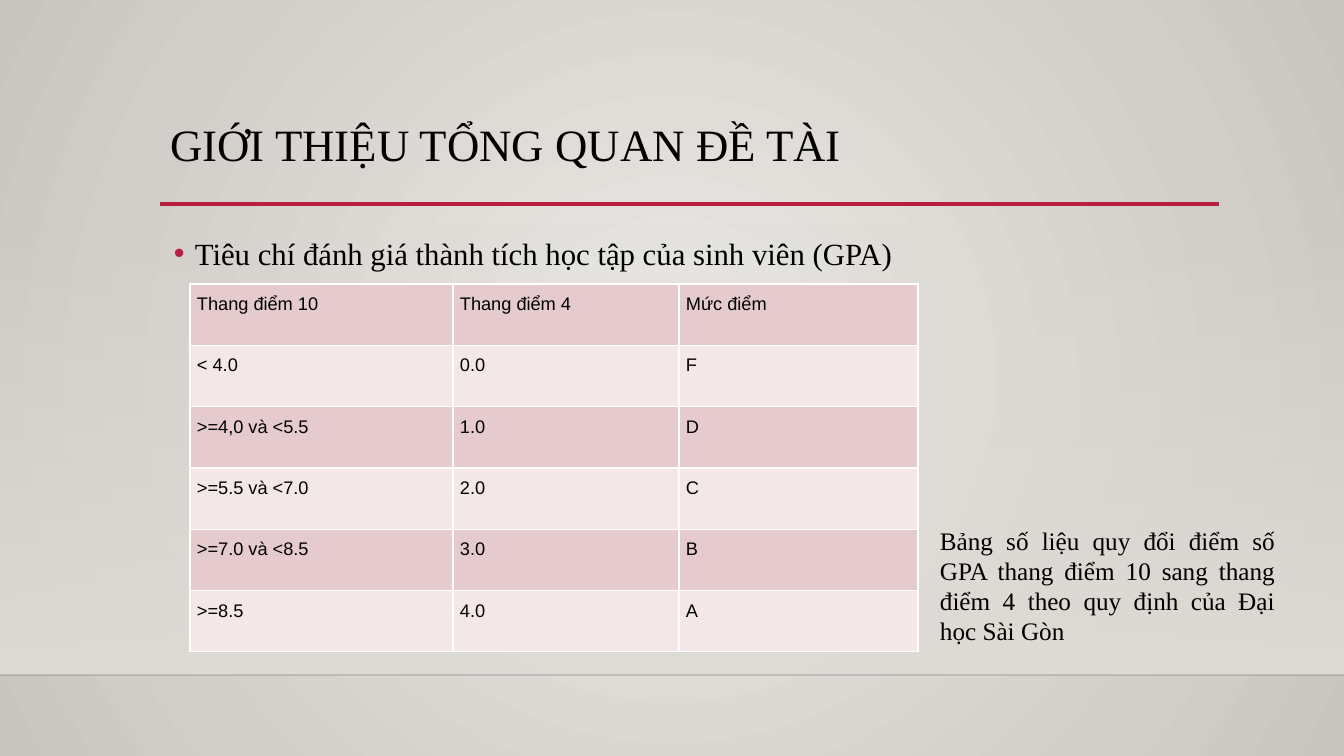
from dataclasses import dataclass

from lxml import etree
from pptx import Presentation
from pptx.dml.color import RGBColor
from pptx.enum.shapes import MSO_CONNECTOR, MSO_SHAPE
from pptx.enum.text import MSO_ANCHOR, MSO_AUTO_SIZE, PP_ALIGN
from pptx.oxml import parse_xml
from pptx.oxml.ns import qn
from pptx.util import Emu, Pt

STRAIGHT = MSO_CONNECTOR.STRAIGHT
RECTANGLE = MSO_SHAPE.RECTANGLE
LEFT, JUSTIFY = PP_ALIGN.LEFT, PP_ALIGN.JUSTIFY
TOP, MIDDLE = MSO_ANCHOR.TOP, MSO_ANCHOR.MIDDLE

TITLE = "GIỚI THIỆU TỔNG QUAN ĐỀ TÀI"
CRITERION = "Tiêu chí đánh giá thành tích học tập của sinh viên (GPA)"
CAPTION = ("Bảng số liệu quy đổi điểm số GPA thang điểm 10 sang thang điểm 4 "
           "theo quy định của Đại học Sài Gòn")
GRADES = [
    ("Thang điểm 10", "Thang điểm 4", "Mức điểm"),
    ("< 4.0", "0.0", "F"),
    (">=4,0 và <5.5", "1.0", "D"),
    (">=5.5 và <7.0", "2.0", "C"),
    (">=7.0 và <8.5", "3.0", "B"),
    (">=8.5", "4.0", "A"),
]

# Lengths in px
PAGE_WIDTH, PAGE_HEIGHT = 1344, 756
BAND_TOP, BAND_BOTTOM = 223, 675
RULE_LEFT, RULE_RIGHT, RULE_Y = 160, 1219, 204
TITLE_BOX = (160, 89, 1058, 116)
CRITERION_BOX = (160, 222, 1058, 380)
CAPTION_BOX = (930, 520, 355, 132)
TABLE_LEFT, TABLE_TOP, TABLE_HEIGHT = 190, 284, 368
COLUMN_WIDTHS = (263, 226, 239)
CELL_MARGIN = 7
BULLET_INDENT, BULLET_HANG = 25, 21


@dataclass(frozen=True)
class Theme:
    serif: str = "Times New Roman"
    sans: str = "Arial"
    ink: str = "000000"
    accent: str = "B71E42"
    center: str = "EBE9E6"
    edge: str = "C9C5C0"
    band: str = "DFDBD5"
    floor: str = "000001"
    border: str = "FFFFFF"
    rows: tuple = ("E5CBCD", "F3E7E8")
    title_size: int = 32
    criterion_size: int = 22
    caption_size: int = 18
    cell_size: int = 13


THEME = Theme()


def px(length):
    return Emu(round(length * 914400 / 100.8))


def gradient(stops, direction):
    """Make a gradFill from (position, colour, opacity) in percent and a direction tag."""
    marks = "".join(
        f'<a:gs pos="{position * 1000}"><a:srgbClr val="{color}">'
        f'<a:alpha val="{opacity * 1000}"/></a:srgbClr></a:gs>'
        for position, color, opacity in stops)
    return parse_xml(
        '<a:gradFill xmlns:a="http://schemas.openxmlformats.org/drawingml/2006/main" '
        f'rotWithShape="1"><a:gsLst>{marks}</a:gsLst>{direction}</a:gradFill>')


def set_gradient(fill, parent, stops, direction):
    fill.solid()
    solid = parent.find(".//" + qn("a:solidFill"))
    solid.getparent().replace(solid, gradient(stops, direction))


def add_rule(page, left, right, y, color, weight, opacity=100):
    rule = page.shapes.add_connector(STRAIGHT, px(left), px(y), px(right), px(y))
    rule.line.color.rgb = RGBColor.from_string(color)
    rule.line.width = Pt(weight)
    properties = rule._element.spPr
    if opacity < 100:
        tint = properties.find(".//" + qn("a:srgbClr"))
        etree.SubElement(tint, qn("a:alpha"), val=str(opacity * 1000))
    etree.SubElement(properties, qn("a:effectLst"))


def write(frame, text, face, size, align=LEFT, spacing=1.0, anchor=TOP):
    frame.word_wrap = True
    frame.auto_size = MSO_AUTO_SIZE.NONE
    frame.vertical_anchor = anchor
    format_text(frame.paragraphs[0], text, face, size, align, spacing)


def format_text(para, text, face, size, align, spacing):
    para.text = text
    para.alignment = align
    para.line_spacing = spacing
    para.font.name = face
    para.font.size = Pt(size)
    para.font.color.rgb = RGBColor.from_string(THEME.ink)


def add_bullet(para):
    properties = para._p.get_or_add_pPr()
    properties.set("marL", str(px(BULLET_INDENT)))
    properties.set("indent", str(-px(BULLET_HANG)))
    color = etree.SubElement(properties, qn("a:buClr"))
    etree.SubElement(color, qn("a:srgbClr"), val=THEME.accent)
    etree.SubElement(properties, qn("a:buFont"), typeface=THEME.sans)
    etree.SubElement(properties, qn("a:buChar"), char="•")


def add_borders(cell):
    properties = cell._tc.get_or_add_tcPr()
    for side in ("lnL", "lnR", "lnT", "lnB"):
        line = etree.SubElement(properties, qn(f"a:{side}"), w=str(Pt(1)))
        paint = etree.SubElement(line, qn("a:solidFill"))
        etree.SubElement(paint, qn("a:srgbClr"), val=THEME.border)


def add_backdrop(page):
    set_gradient(page.background.fill, page._element,
                 [(0, THEME.center, 100), (100, THEME.edge, 100)],
                 '<a:path path="circle"><a:fillToRect l="50000" t="50000" '
                 'r="50000" b="50000"/></a:path>')
    band = page.shapes.add_shape(RECTANGLE, 0, px(BAND_TOP), px(PAGE_WIDTH),
                                 px(BAND_BOTTOM - BAND_TOP))
    band.shadow.inherit = False
    band.line.fill.background()
    set_gradient(band.fill, band._element.spPr,
                 [(0, THEME.band, 0), (100, THEME.band, 100)],
                 '<a:lin ang="5400000" scaled="0"/>')
    add_rule(page, 0, PAGE_WIDTH, BAND_BOTTOM, THEME.floor, 1, opacity=20)
    add_rule(page, RULE_LEFT, RULE_RIGHT, RULE_Y, THEME.accent, 2.5)


def add_grades(page):
    table = page.shapes.add_table(
        len(GRADES), len(COLUMN_WIDTHS), px(TABLE_LEFT), px(TABLE_TOP),
        px(sum(COLUMN_WIDTHS)), px(TABLE_HEIGHT)).table
    table.first_row = table.horz_banding = False
    for column, width in zip(table.columns, COLUMN_WIDTHS):
        column.width = px(width)
    for index, (row, texts) in enumerate(zip(table.rows, GRADES)):
        row.height = px(TABLE_HEIGHT / len(GRADES))
        for cell, text in zip(row.cells, texts):
            cell.margin_left = cell.margin_right = px(CELL_MARGIN)
            cell.margin_top = cell.margin_bottom = 0
            add_borders(cell)
            cell.fill.solid()
            cell.fill.fore_color.rgb = RGBColor.from_string(THEME.rows[index % 2])
            format_text(cell.text_frame.paragraphs[0], text, THEME.sans,
                        THEME.cell_size, JUSTIFY, 1.5)


def main():
    deck = Presentation()
    deck.slide_width, deck.slide_height = px(PAGE_WIDTH), px(PAGE_HEIGHT)
    page = deck.slides.add_slide(deck.slide_layouts.get_by_name("Title Only"))
    add_backdrop(page)

    title = page.shapes.title
    title.left, title.top, title.width, title.height = map(px, TITLE_BOX)
    write(title.text_frame, TITLE, THEME.serif, THEME.title_size,
          spacing=0.9, anchor=MIDDLE)

    criterion = page.shapes.add_textbox(*map(px, CRITERION_BOX)).text_frame
    add_bullet(criterion.paragraphs[0])
    write(criterion, CRITERION, THEME.serif, THEME.criterion_size, spacing=1.2)

    add_grades(page)

    caption = page.shapes.add_textbox(*map(px, CAPTION_BOX)).text_frame
    write(caption, CAPTION, THEME.serif, THEME.caption_size, align=JUSTIFY)
    deck.save("out.pptx")


if __name__ == "__main__":
    main()
